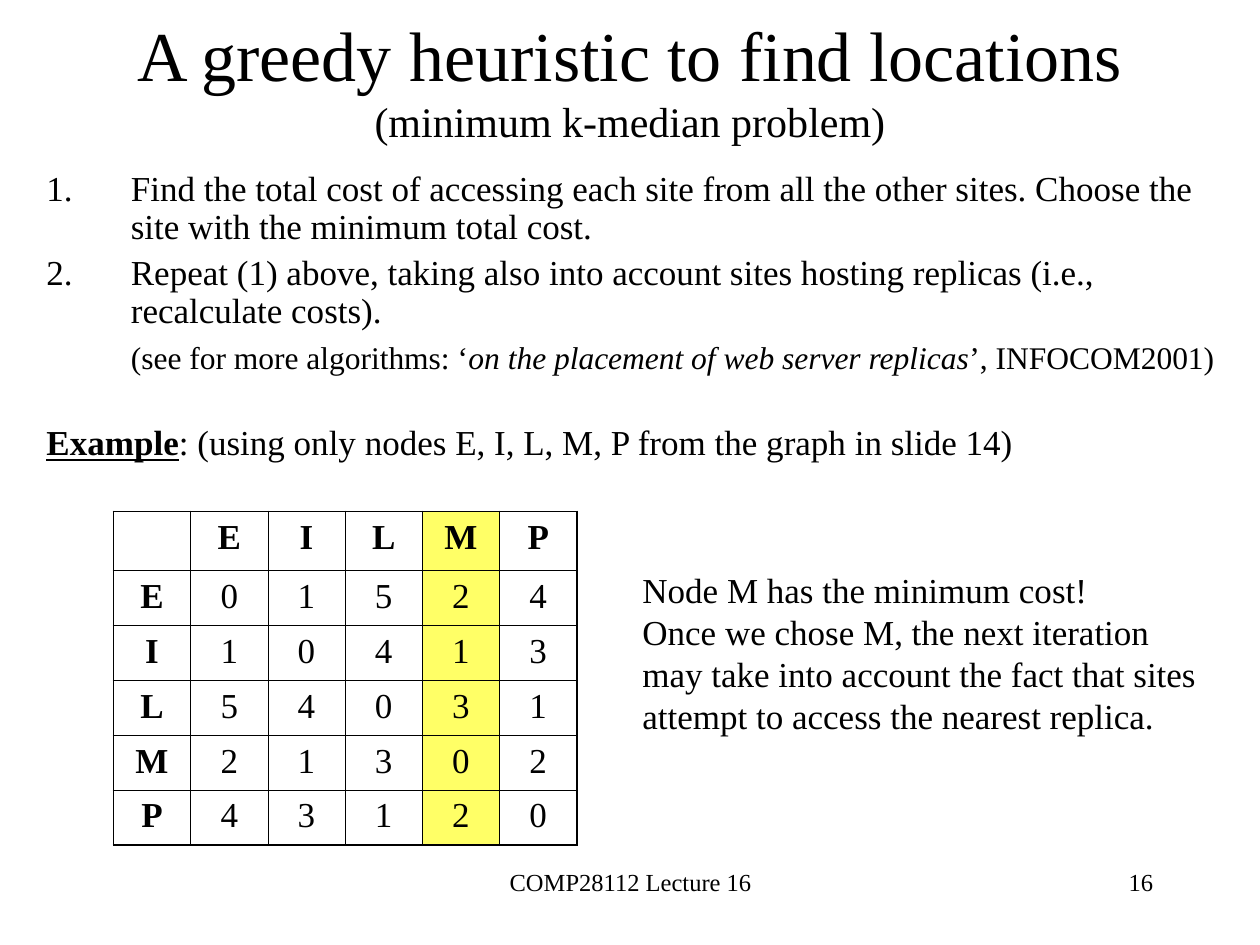
from lxml import etree
from pptx import Presentation
from pptx.dml.color import RGBColor
from pptx.enum.text import MSO_ANCHOR, PP_ALIGN
from pptx.oxml.ns import qn
from pptx.util import Inches, Pt

LEFT, CENTER, RIGHT = PP_ALIGN.LEFT, PP_ALIGN.CENTER, PP_ALIGN.RIGHT
TOP, MIDDLE = MSO_ANCHOR.TOP, MSO_ANCHOR.MIDDLE
COLORS = {"text": "000000", "border": "000000", "highlight": "FFFF66"}


def add_run(paragraph, text, size, **formats):
    run = paragraph.add_run()
    run.text = text
    run.font.color.rgb = RGBColor.from_string(COLORS["text"])
    values = {"name": "Times New Roman", "size": Pt(size), **formats}
    for attribute, value in values.items():
        setattr(run.font, attribute, value)


def add_frame(slide, left, top, width, height, anchor=TOP):
    box = slide.shapes.add_textbox(Inches(left), Inches(top), Inches(width), Inches(height))
    box.text_frame.word_wrap = True
    box.text_frame.vertical_anchor = anchor
    return box.text_frame


presentation = Presentation()
presentation.slide_width = Inches(10)
presentation.slide_height = Inches(7.5)
slide = presentation.slides.add_slide(presentation.slide_layouts[6])

for text, left, width, alignment in [
    ("COMP28112 Lecture 16", 3.42, 3.17, CENTER),
    ("16", 7.17, 2.08, RIGHT),
]:
    paragraph = add_frame(slide, left, 6.83, width, 0.5).paragraphs[0]
    paragraph.alignment = alignment
    add_run(paragraph, text, 14)

title = add_frame(slide, 0.75, 0, 8.5, 1.25, MIDDLE).paragraphs[0]
title.alignment = CENTER
add_run(title, "A greedy heuristic to find locations", 40)
title.add_line_break()
add_run(title, "(minimum k-median problem)", 24)

body_paragraphs = [
    {"numbered": True, "margin": 0.67, "before": 5, "runs": [
        ("Find the total cost of accessing each site from all the other sites. "
         "Choose the site with the minimum total cost.", 20, {})]},
    {"numbered": True, "margin": 0.67, "before": 5, "runs": [
        ("Repeat (1) above, taking also into account sites hosting replicas "
         "(i.e., recalculate costs).", 20, {})]},
    {"numbered": False, "margin": 0.67, "before": 6.5, "runs": [
        ("(see for more algorithms: ‘", 18, {}),
        ("on the placement of web server replicas", 18, {"italic": True}),
        ("’, INFOCOM2001)", 18, {})]},
    {"numbered": False, "margin": 0, "before": 28, "runs": [
        ("Example", 20, {"bold": True, "underline": True}),
        (": (using only nodes E, I, L, M, P from the graph in slide 14)", 20, {})]},
]
body = add_frame(slide, 0.27, 1.31, 9.61, 2.76)
for index, item in enumerate(body_paragraphs):
    paragraph = body.add_paragraph() if index else body.paragraphs[0]
    paragraph.alignment = LEFT
    paragraph.line_spacing = 0.9
    paragraph.space_before = Pt(item["before"])
    properties = paragraph._p.get_or_add_pPr()
    properties.set("marL", str(Inches(item["margin"])))
    properties.set("indent", str(-Inches(item["margin"]) if item["numbered"] else 0))
    if item["numbered"]:
        etree.SubElement(properties, qn("a:buFont"), typeface="Times New Roman")
        etree.SubElement(properties, qn("a:buAutoNum"), type="arabicPeriod")
    for text, size, formats in item["runs"]:
        add_run(paragraph, text, size, **formats)

nodes = ["E", "I", "L", "M", "P"]
costs = [
    [0, 1, 5, 2, 4],
    [1, 0, 4, 1, 3],
    [5, 4, 0, 3, 1],
    [2, 1, 3, 0, 2],
    [4, 3, 1, 2, 0],
]
grid = [[""] + nodes] + [[node] + row for node, row in zip(nodes, costs)]
last = len(nodes)
best_column = nodes.index("M") + 1
table = slide.shapes.add_table(
    last + 1, last + 1, Inches(0.9), Inches(4.06), Inches(3.68), Inches(2.65)
).table
table.first_row = False
table.horz_banding = False
for column in table.columns:
    column.width = Inches(3.68 / (last + 1))
for index, row in enumerate(table.rows):
    row.height = Inches(0.436 if index else 0.47)

for row_index, values in enumerate(grid):
    for column_index, value in enumerate(values):
        cell = table.cell(row_index, column_index)
        outer_edges = {
            "a:lnL": column_index == 0,
            "a:lnR": column_index == last,
            "a:lnT": row_index == 0,
            "a:lnB": row_index == last,
        }
        properties = cell._tc.get_or_add_tcPr()
        for tag, is_outer in outer_edges.items():
            line = etree.SubElement(properties, qn(tag), w=str(Pt(1.08 if is_outer else 0.45)))
            fill = etree.SubElement(line, qn("a:solidFill"))
            etree.SubElement(fill, qn("a:srgbClr"), val=COLORS["border"])
        if column_index == best_column:
            cell.fill.solid()
            cell.fill.fore_color.rgb = RGBColor.from_string(COLORS["highlight"])
        else:
            cell.fill.background()
        if value != "":
            paragraph = cell.text_frame.paragraphs[0]
            paragraph.alignment = CENTER
            paragraph.space_before = Pt(5)
            add_run(paragraph, str(value), 20, bold=row_index == 0 or column_index == 0)

conclusion = add_frame(slide, 5, 4.46, 4.73, 2.1)
add_run(conclusion.paragraphs[0], "Node M has the minimum cost!", 20)
add_run(
    conclusion.add_paragraph(),
    "Once we chose M, the next iteration may take into account the fact that sites "
    "attempt to access the nearest replica.",
    20,
)

presentation.save("out.pptx")
